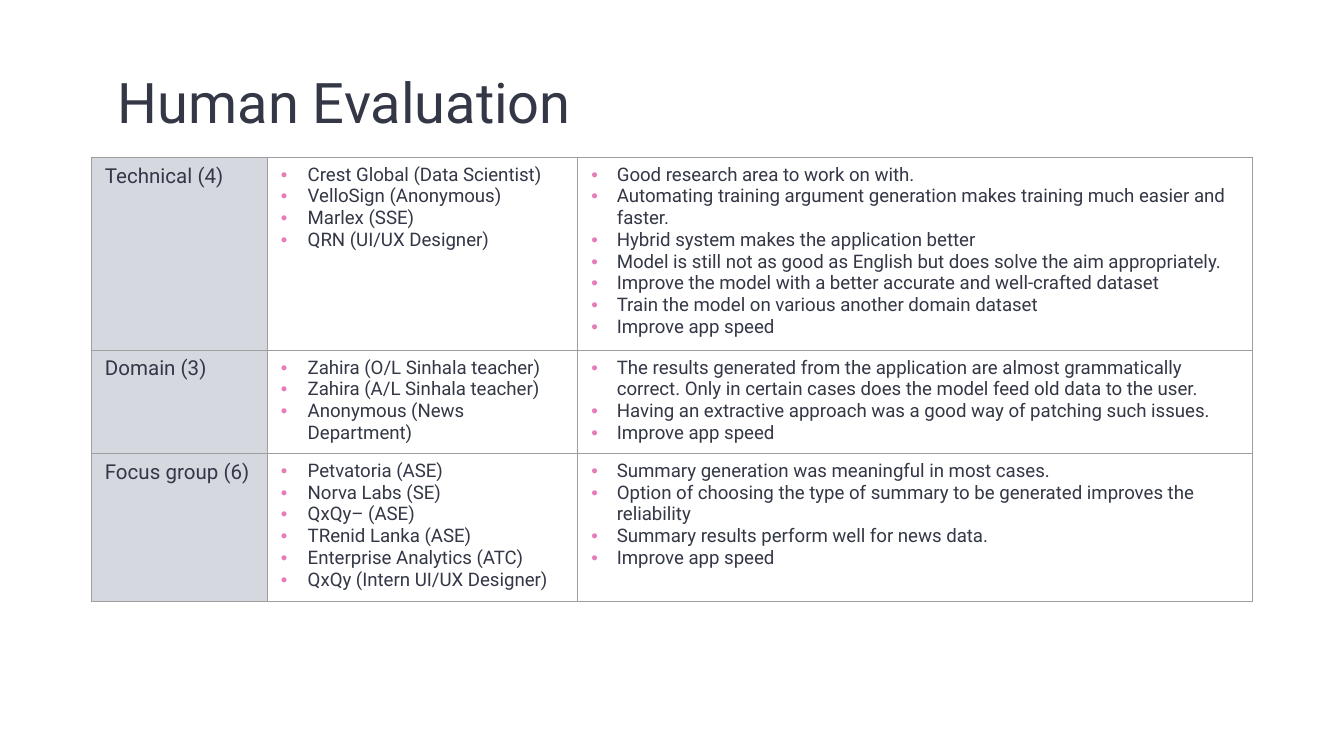
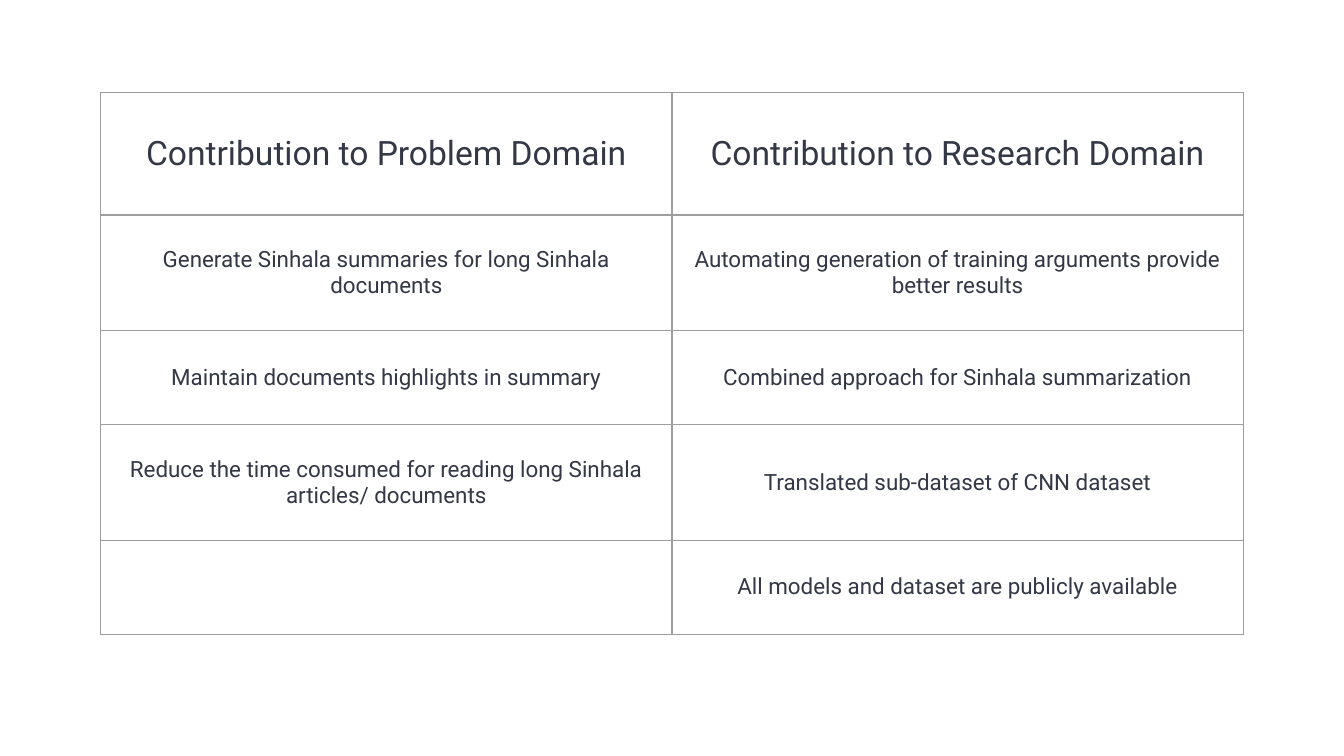
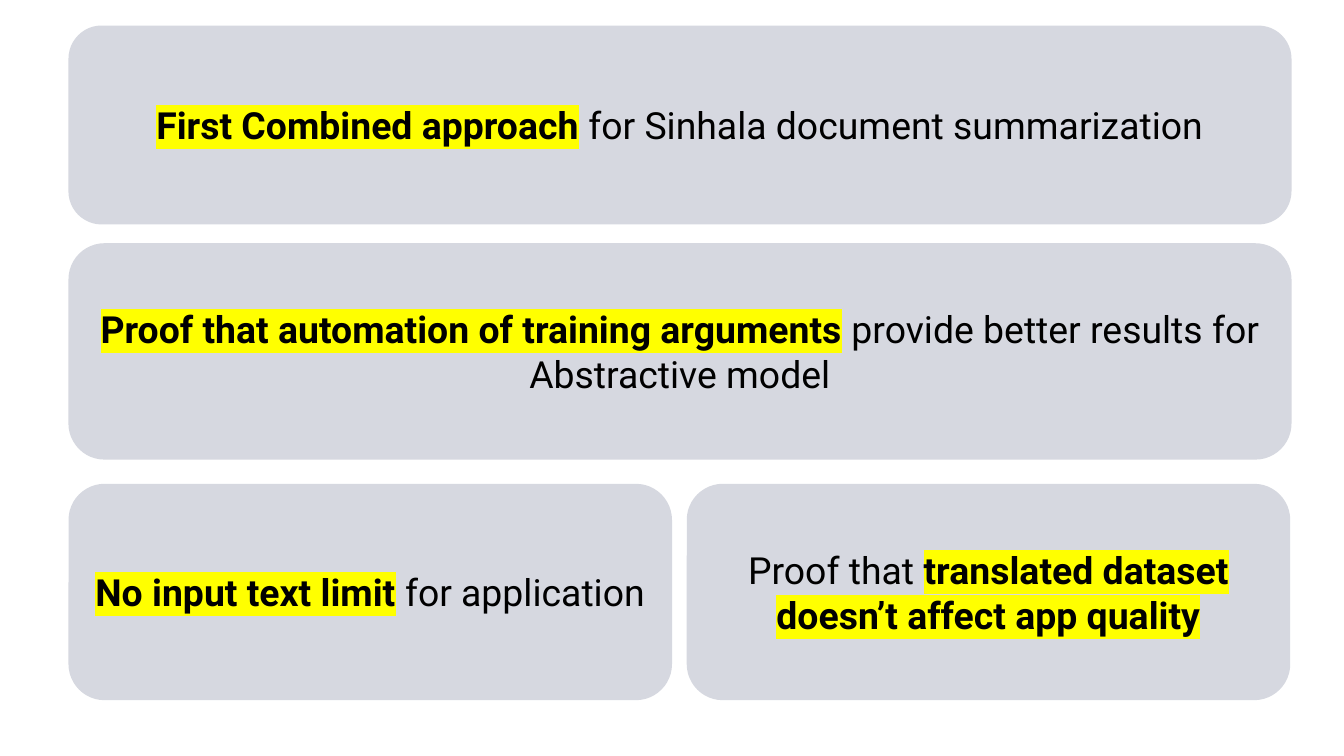
from dataclasses import dataclass
from typing import NamedTuple, Optional, Sequence

from lxml import etree
from pptx import Presentation
from pptx.dml.color import RGBColor
from pptx.enum.shapes import MSO_SHAPE
from pptx.enum.text import MSO_ANCHOR, PP_ALIGN
from pptx.oxml.ns import qn
from pptx.slide import Slide
from pptx.table import Table
from pptx.text.text import TextFrame
from pptx.util import Inches, Pt

ROUNDED = MSO_SHAPE.ROUNDED_RECTANGLE
LEFT, CENTER = PP_ALIGN.LEFT, PP_ALIGN.CENTER
TOP, MIDDLE = MSO_ANCHOR.TOP, MSO_ANCHOR.MIDDLE
BLANK_LAYOUT = 6
SLIDE_WIDTH = Inches(10)
SLIDE_HEIGHT = SLIDE_WIDTH * 9 // 16


@dataclass(frozen=True)
class Theme:
    font: str = "Roboto"
    ink: str = "333746"
    black: str = "000000"
    panel: str = "D6D8E0"
    border: str = "9E9E9E"
    bullet: str = "E67CB9"
    marker: str = "FFFF00"
    title_size: float = 30
    card_size: float = 20
    heading_size: float = 18
    body_size: float = 12
    label_size: float = 11
    list_size: float = 10
    border_width: float = 0.75


THEME = Theme()


class Run(NamedTuple):
    text: str
    marked: bool = False


class EvaluationGroup(NamedTuple):
    label: str
    evaluators: Sequence[str]
    feedback: Sequence[str]


class ContributionRow(NamedTuple):
    problem: str
    research: str
    height: float


class Card(NamedTuple):
    left: float
    top: float
    width: float
    height: float
    runs: Sequence[Run]


EVALUATION_COLUMNS = (1.31, 2.31, 5.02)
EVALUATION_ROW_HEIGHT = 0.41
EVALUATOR_INDENT = 0.2
FEEDBACK_INDENT = 0.19

EVALUATION_GROUPS = (
    EvaluationGroup(
        "Technical (4)",
        (
            "Crest Global (Data Scientist)",
            "VelloSign (Anonymous)",
            "Marlex (SSE)",
            "QRN (UI/UX Designer)",
        ),
        (
            "Good research area to work on with.",
            "Automating training argument generation makes training much easier and faster.",
            "Hybrid system makes the application better",
            "Model is still not as good as English but does solve the aim appropriately.",
            "Improve the model with a better accurate and well-crafted dataset",
            "Train the model on various another domain dataset",
            "Improve app speed",
        ),
    ),
    EvaluationGroup(
        "Domain (3)",
        (
            "Zahira (O/L Sinhala teacher)",
            "Zahira (A/L Sinhala teacher)",
            "Anonymous (News Department)",
        ),
        (
            "The results generated from the application are almost grammatically correct. "
            "Only in certain cases does the model feed old data to the user.",
            "Having an extractive approach was a good way of patching such issues.",
            "Improve app speed",
        ),
    ),
    EvaluationGroup(
        "Focus group (6)",
        (
            "Petvatoria (ASE)",
            "Norva Labs (SE)",
            "QxQy– (ASE)",
            "TRenid Lanka (ASE)",
            "Enterprise Analytics (ATC)",
            "QxQy (Intern UI/UX Designer)",
        ),
        (
            "Summary generation was meaningful in most cases.",
            "Option of choosing the type of summary to be generated improves the reliability",
            "Summary results perform well for news data.",
            "Improve app speed",
        ),
    ),
)

CONTRIBUTION_COLUMNS = (4.25, 4.25)
CONTRIBUTION_ROWS = (
    ContributionRow("Contribution to Problem Domain", "Contribution to Research Domain", 0.91),
    ContributionRow(
        "Generate Sinhala summaries for long Sinhala documents",
        "Automating generation of training arguments provide better results",
        0.86,
    ),
    ContributionRow(
        "Maintain documents highlights in summary",
        "Combined approach for Sinhala summarization",
        0.7,
    ),
    ContributionRow(
        "Reduce the time consumed for reading long Sinhala articles/ documents",
        "Translated sub-dataset of CNN dataset",
        0.86,
    ),
    ContributionRow("", "All models and dataset are publicly available", 0.7),
)

CARD_LEFT = 0.51
FULL_WIDTH, HALF_WIDTH = 9.1, 4.49
HALF_LEFT = 5.11
CARD_HEIGHT = 1.61

NOVELTY_CARDS = (
    Card(CARD_LEFT, 0.19, FULL_WIDTH, 1.48, (
        Run("First Combined approach", True),
        Run(" for Sinhala document summarization"),
    )),
    Card(CARD_LEFT, 1.81, FULL_WIDTH, CARD_HEIGHT, (
        Run("Proof that automation of training arguments", True),
        Run(" provide better results for Abstractive model"),
    )),
    Card(CARD_LEFT, 3.6, HALF_WIDTH, CARD_HEIGHT, (
        Run("No input text limit", True),
        Run(" for application"),
    )),
    Card(HALF_LEFT, 3.6, HALF_WIDTH, CARD_HEIGHT, (
        Run("Proof that "),
        Run("translated dataset doesn’t affect app quality", True),
    )),
)


def add_color(parent: etree._Element, color: str) -> None:
    etree.SubElement(parent, qn("a:srgbClr")).set("val", color)


def add_bullet(paragraph, indent: float) -> None:
    properties = paragraph._p.get_or_add_pPr()
    properties.set("marL", str(Inches(indent)))
    properties.set("indent", str(-Inches(indent)))
    add_color(etree.SubElement(properties, qn("a:buClr")), THEME.bullet)
    etree.SubElement(properties, qn("a:buFont")).set("typeface", "Arial")
    etree.SubElement(properties, qn("a:buChar")).set("char", "•")


def highlight(font) -> None:
    marker = etree.Element(qn("a:highlight"))
    add_color(marker, THEME.marker)
    font._element.find(qn("a:solidFill")).addnext(marker)


def write_text(
    frame: TextFrame,
    paragraphs: Sequence[Sequence[Run]],
    *,
    size: float,
    color: str = THEME.ink,
    align: PP_ALIGN = LEFT,
    line_spacing: Optional[float] = None,
    bullet_indent: Optional[float] = None,
) -> None:
    for index, runs in enumerate(paragraphs):
        paragraph = frame.add_paragraph() if index else frame.paragraphs[0]
        paragraph.alignment = align
        if line_spacing is not None:
            paragraph.line_spacing = line_spacing
        if bullet_indent is not None:
            add_bullet(paragraph, bullet_indent)
        for run in runs:
            text_run = paragraph.add_run()
            text_run.text = run.text
            font = text_run.font
            font.name = THEME.font
            font.size = Pt(size)
            font.bold = run.marked
            font.color.rgb = RGBColor.from_string(color)
            if run.marked:
                highlight(font)
        ending = etree.SubElement(paragraph._p, qn("a:endParaRPr"))
        ending.set("sz", str(int(size * 100)))
        etree.SubElement(ending, qn("a:latin")).set("typeface", THEME.font)


def lines(*texts: str) -> list[list[Run]]:
    return [[Run(text)] for text in texts]


def format_cell(cell, fill: Optional[str], anchor: MSO_ANCHOR) -> None:
    properties = cell._tc.get_or_add_tcPr()
    for side in ("a:lnL", "a:lnR", "a:lnT", "a:lnB"):
        line = etree.SubElement(properties, qn(side))
        line.set("w", str(Pt(THEME.border_width)))
        add_color(etree.SubElement(line, qn("a:solidFill")), THEME.border)
    cell.vertical_anchor = anchor
    if fill is None:
        cell.fill.background()
    else:
        cell.fill.solid()
        cell.fill.fore_color.rgb = RGBColor.from_string(fill)


def add_grid(
    slide: Slide, left: float, top: float, columns: Sequence[float], rows: Sequence[float]
) -> Table:
    table = slide.shapes.add_table(
        len(rows), len(columns), Inches(left), Inches(top),
        Inches(sum(columns)), Inches(sum(rows)),
    ).table
    table.first_row = False
    table.horz_banding = False
    for column, width in zip(table.columns, columns):
        column.width = Inches(width)
    for row, height in zip(table.rows, rows):
        row.height = Inches(height)
    return table


def add_title(slide: Slide, text: str) -> None:
    title = slide.shapes.add_textbox(Inches(0.78), Inches(0.33), Inches(8.44), Inches(0.77))
    frame = title.text_frame
    frame.word_wrap = True
    frame.margin_top = frame.margin_bottom = Inches(0.1)
    write_text(frame, lines(text), size=THEME.title_size, line_spacing=1.15)


def add_card(slide: Slide, card: Card) -> None:
    shape = slide.shapes.add_shape(
        ROUNDED, Inches(card.left), Inches(card.top), Inches(card.width), Inches(card.height)
    )
    shape.shadow.inherit = False
    shape.fill.solid()
    shape.fill.fore_color.rgb = RGBColor.from_string(THEME.panel)
    shape.line.fill.background()
    frame = shape.text_frame
    frame.word_wrap = True
    frame.vertical_anchor = MIDDLE
    write_text(frame, [card.runs], size=THEME.card_size, color=THEME.black, align=CENTER)


def build_evaluation(slide: Slide) -> None:
    add_title(slide, "Human Evaluation")
    heights = [EVALUATION_ROW_HEIGHT] * len(EVALUATION_GROUPS)
    table = add_grid(slide, 0.68, 1.17, EVALUATION_COLUMNS, heights)
    for row, group in enumerate(EVALUATION_GROUPS):
        label = table.cell(row, 0)
        format_cell(label, THEME.panel, TOP)
        write_text(label.text_frame, lines(group.label), size=THEME.label_size)
        bullet_lists = ((group.evaluators, EVALUATOR_INDENT), (group.feedback, FEEDBACK_INDENT))
        for column, (items, indent) in enumerate(bullet_lists, start=1):
            cell = table.cell(row, column)
            format_cell(cell, None, TOP)
            write_text(
                cell.text_frame, lines(*items), size=THEME.list_size, bullet_indent=indent
            )


def build_contributions(slide: Slide) -> None:
    heights = [row.height for row in CONTRIBUTION_ROWS]
    table = add_grid(slide, 0.75, 0.69, CONTRIBUTION_COLUMNS, heights)
    for index, row in enumerate(CONTRIBUTION_ROWS):
        size = THEME.body_size if index else THEME.heading_size
        for column, text in enumerate((row.problem, row.research)):
            cell = table.cell(index, column)
            format_cell(cell, None, MIDDLE)
            if text:
                write_text(cell.text_frame, lines(text), size=size, align=CENTER)


def build_novelty(slide: Slide) -> None:
    for card in NOVELTY_CARDS:
        add_card(slide, card)


def main() -> None:
    presentation = Presentation()
    presentation.slide_width = SLIDE_WIDTH
    presentation.slide_height = SLIDE_HEIGHT
    layout = presentation.slide_layouts[BLANK_LAYOUT]
    for build in (build_evaluation, build_contributions, build_novelty):
        build(presentation.slides.add_slide(layout))
    presentation.save("out.pptx")


if __name__ == "__main__":
    main()
